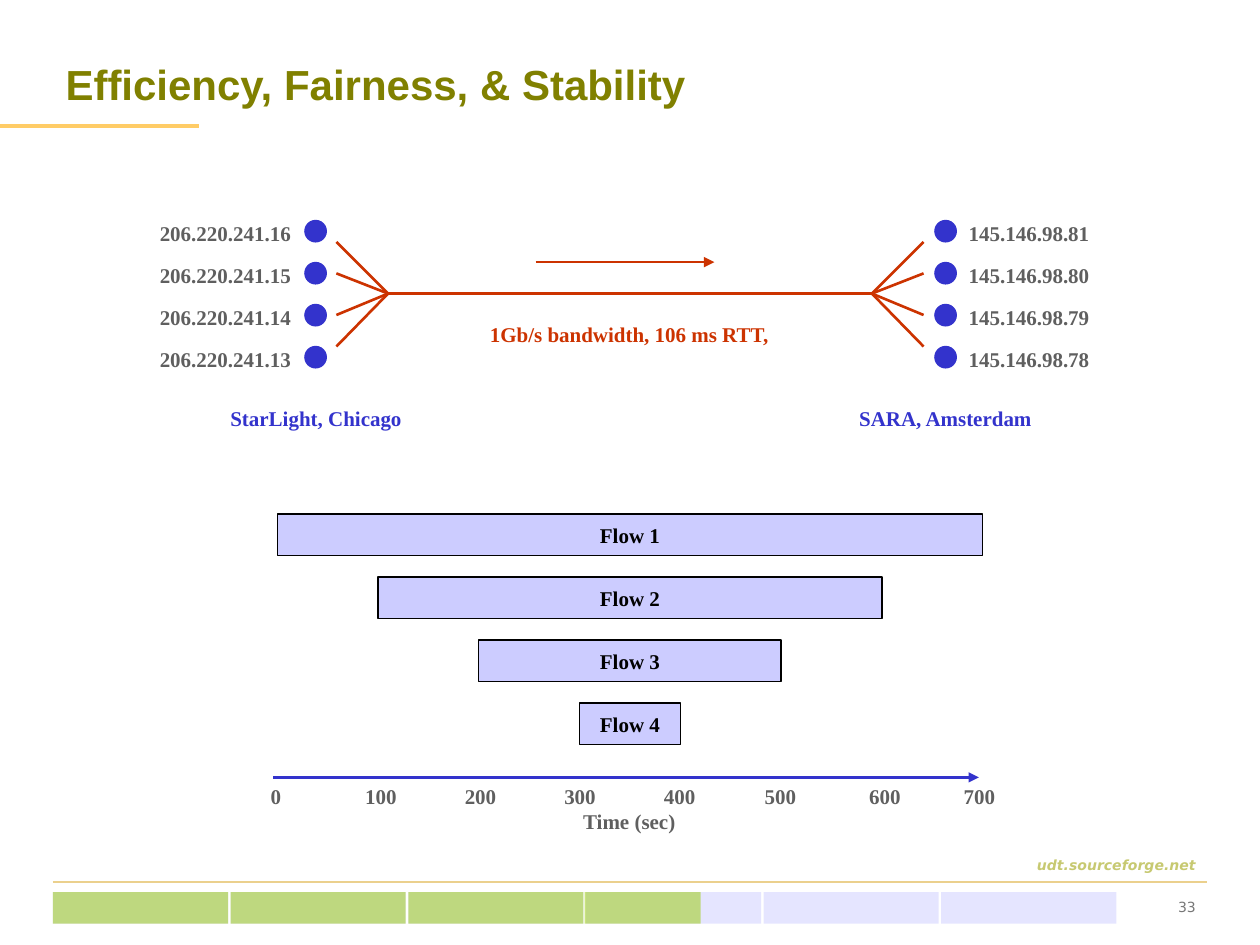
from lxml.etree import SubElement
from pptx import Presentation
from pptx.dml.color import RGBColor
from pptx.enum.shapes import MSO_CONNECTOR, MSO_SHAPE
from pptx.enum.text import MSO_ANCHOR, MSO_AUTO_SIZE, PP_ALIGN
from pptx.oxml.ns import qn
from pptx.util import Inches, Pt

COLORS = {
    "olive": "808000", "amber": "FFCC66", "sand": "EBD08D", "address": "C7C971",
    "lavender": "CCCCFF", "green": "99CC00", "black": "000000", "blue": "3333CC",
    "red": "CC3300", "gray": "5F5F5F", "number": "777777",
}
COLORS = {name: RGBColor.from_string(value) for name, value in COLORS.items()}
SERIF = "Times New Roman"
SANS = "DejaVu Sans"

deck = Presentation()
deck.slide_width, deck.slide_height = Inches(10), Inches(7.5)
page = deck.slides.add_slide(deck.slide_layouts[5])


def add_line(start, end, color, width, arrow=False):
    line = page.shapes.add_connector(
        MSO_CONNECTOR.STRAIGHT, *(Inches(value) for value in (*start, *end)))
    line.line.color.rgb = COLORS[color]
    line.line.width = Pt(width)
    if arrow:
        SubElement(line.line._get_or_add_ln(), qn("a:tailEnd"), type="triangle")
    SubElement(line._element.spPr, qn("a:effectLst"))


def add_label(text, left, top, width, color="gray", height=0.3, size=12,
              font=SERIF, bold=True, italic=False, align=PP_ALIGN.LEFT):
    box = page.shapes.add_textbox(
        Inches(left), Inches(top), Inches(width), Inches(height))
    box.text_frame.word_wrap = align == PP_ALIGN.RIGHT
    para = box.text_frame.paragraphs[0]
    para.text = text
    para.alignment = align
    para.font.name, para.font.size = font, Pt(size)
    para.font.bold, para.font.italic = bold, italic
    para.font.color.rgb = COLORS[color]


# Title and rules
title = page.shapes.title
title.left, title.top = Inches(0.42), Inches(0.25)
title.width, title.height = Inches(9.17), Inches(0.83)
title.text_frame.text = "Efficiency, Fairness, & Stability"
title.text_frame.auto_size = MSO_AUTO_SIZE.NONE
title.text_frame.vertical_anchor = MSO_ANCHOR.MIDDLE
para = title.text_frame.paragraphs[0]
para.alignment = PP_ALIGN.LEFT
para.font.name, para.font.size, para.font.bold = "Arial", Pt(24), True
para.font.color.rgb = COLORS["olive"]
add_line((0, 1), (1.58, 1), "amber", 2.25)
add_line((0.42, 7), (9.58, 7), "sand", 1)

# Footer: progress bar, web address and page number
cells = [(0.42 + 1.41 * step, 1.39, "lavender") for step in range(6)]
cells += [(0.42 + 1.41 * step, 1.39, "green") for step in range(3)]
cells.append((4.64, 0.92, "green"))
for left, width, color in cells:
    cell = page.shapes.add_shape(
        MSO_SHAPE.RECTANGLE, Inches(left), Inches(7.08), Inches(width), Inches(0.25))
    cell.shadow.inherit = False
    cell.fill.solid()
    cell.fill.fore_color.rgb = COLORS[color]
    SubElement(cell._element.spPr.find(".//" + qn("a:srgbClr")), qn("a:alpha"), val="50000")
    cell.line.fill.background()
add_label("udt.sourceforge.net", 0.42, 6.75, 9.17, "address", 0.25, 8, SANS,
          italic=True, align=PP_ALIGN.RIGHT)
add_label("33", 8.85, 7.08, 0.74, "number", 0.25, 8, SANS,
          bold=False, align=PP_ALIGN.RIGHT)

# Flow bars: each starts 100 s later and ends 100 s earlier than the one above
for index in range(4):
    bar = page.shapes.add_shape(
        MSO_SHAPE.RECTANGLE, Inches(2.2 + 0.8 * index), Inches(4.08 + 0.5 * index),
        Inches(5.6 - 1.6 * index), Inches(0.33))
    bar.shadow.inherit = False
    bar.fill.solid()
    bar.fill.fore_color.rgb = COLORS["lavender"]
    bar.line.color.rgb = COLORS["black"]
    bar.line.width = Pt(0.75)
    bar.text_frame.word_wrap = False
    bar.text_frame.vertical_anchor = MSO_ANCHOR.MIDDLE
    para = bar.text_frame.paragraphs[0]
    para.text = f"Flow {index + 1}"
    para.alignment = PP_ALIGN.CENTER
    para.font.name, para.font.size, para.font.bold = SERIF, Pt(12), True
    para.font.color.rgb = COLORS["black"]

# Time axis
add_line((2.17, 6.17), (7.77, 6.17), "blue", 1.5, arrow=True)
add_label("0", 2.05, 6.17, 0.28)
for index, left in enumerate((2.8, 3.59, 4.38, 5.17, 5.97, 6.8, 7.55), start=1):
    add_label(str(100 * index), left, 6.17, 0.45)
add_label("Time (sec)", 4.53, 6.37, 0.93)

# Hosts at both ends, each joined to its hub
left_hub, right_hub = (3.08, 2.33), (6.92, 2.33)
for index, branch_y in enumerate((1.92, 2.17, 2.5, 2.75)):
    offset = index / 3
    for left in (2.42, 7.42):
        host = page.shapes.add_shape(
            MSO_SHAPE.OVAL, Inches(left), Inches(1.75 + offset),
            Inches(0.17), Inches(0.17))
        host.shadow.inherit = False
        host.fill.solid()
        host.fill.fore_color.rgb = COLORS["blue"]
        host.line.color.rgb = COLORS["blue"]
        host.line.width = Pt(0.75)
    add_line((2.67, branch_y), left_hub, "red", 1.5)
    add_line(right_hub, (7.33, branch_y), "red", 1.5)
    add_label(f"206.220.241.{16 - index}", 1.17, 1.7 + offset, 1.24)
    add_label(f"145.146.98.{81 - index}", 7.59, 1.7 + offset, 1.16)

# Shared link and site names
add_line(left_hub, right_hub, "red", 1.5)
add_line((4.25, 2.08), (5.67, 2.08), "red", 1, arrow=True)
add_label("1Gb/s bandwidth, 106 ms RTT,", 3.79, 2.5, 2.43, "red")
add_label("StarLight, Chicago", 1.73, 3.17, 1.56, "blue")
add_label("SARA, Amsterdam", 6.72, 3.17, 1.58, "blue")

deck.save("out.pptx")
